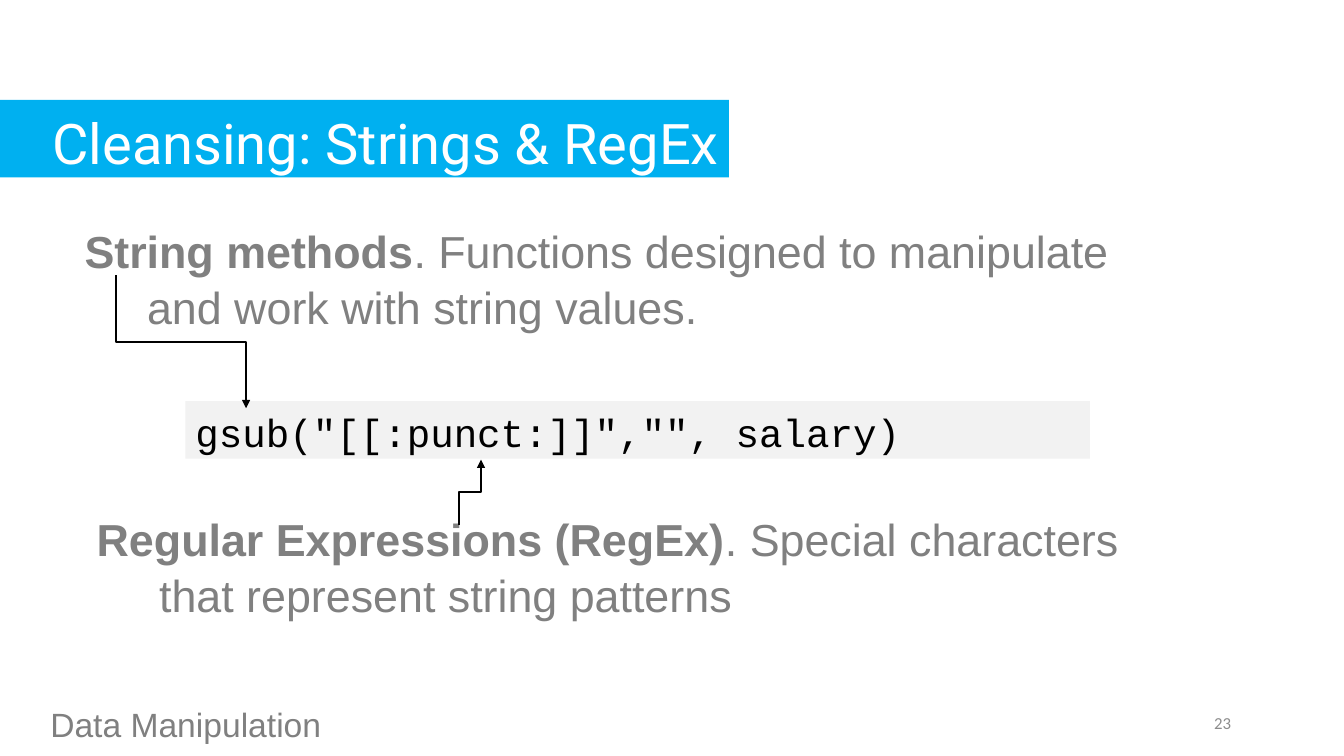
from lxml.etree import SubElement
from pptx import Presentation
from pptx.dml.color import RGBColor
from pptx.enum.shapes import MSO_CONNECTOR, MSO_SHAPE
from pptx.enum.text import MSO_ANCHOR, MSO_AUTO_SIZE, PP_ALIGN
from pptx.oxml.ns import qn
from pptx.util import Inches, Pt

COLORS = {"bar": "00B0F0", "white": "FFFFFF", "text": "808080",
          "number": "8C8C8C", "code_bg": "F2F2F2", "black": "000000"}


def rgb(name):
    return RGBColor.from_string(COLORS[name])


class Deck:
    formats = {
        "title": {"name": "Roboto", "size": Pt(40), "color": "white"},
        "body": {"name": "Arial", "size": Pt(32), "color": "text"},
        "code": {"name": "Courier New", "size": Pt(28), "color": "black"},
        "footer": {"name": "Arial", "size": Pt(24), "color": "text"},
        "number": {"name": "Calibri", "size": Pt(12), "color": "number"},
    }

    def __init__(self):
        self.prs = Presentation()
        self.prs.slide_width = Inches(13.33)
        self.prs.slide_height = Inches(7.5)
        self.s = self.prs.slides.add_slide(self.prs.slide_layouts[5])

    def fill_text(self, sp, runs, style, align=PP_ALIGN.LEFT, anchor=MSO_ANCHOR.TOP,
                  spacing=1.05, hanging=0):
        tf = sp.text_frame
        frame = {"word_wrap": True, "auto_size": MSO_AUTO_SIZE.NONE, "vertical_anchor": anchor}
        for key, value in frame.items():
            setattr(tf, key, value)
        p = tf.paragraphs[0]
        p.alignment = align
        p.line_spacing = spacing
        if hanging:
            pPr = p._p.get_or_add_pPr()
            pPr.set("marL", str(Inches(hanging)))
            pPr.set("indent", str(-Inches(hanging)))
        for text, bold in runs:
            r = p.add_run()
            r.text = text
            r.font.bold = bold
            for key, value in self.formats[style].items():
                if key == "color":
                    r.font.color.rgb = rgb(value)
                else:
                    setattr(r.font, key, value)

    def title(self, text, box):
        sp = self.s.shapes.title
        for key, value in zip(("left", "top", "width", "height"), box):
            setattr(sp, key, Inches(value))
        sp.fill.solid()
        sp.fill.fore_color.rgb = rgb("bar")
        self.fill_text(sp, [(text, False)], "title", PP_ALIGN.RIGHT)

    def text(self, runs, box, style="body", **layout):
        sp = self.s.shapes.add_textbox(*map(Inches, box))
        self.fill_text(sp, runs, style, **layout)

    def code(self, text, box):
        sp = self.s.shapes.add_shape(MSO_SHAPE.RECTANGLE, *map(Inches, box))
        sp.shadow.inherit = False
        sp.fill.solid()
        sp.fill.fore_color.rgb = rgb("code_bg")
        sp.line.fill.background()
        self.fill_text(sp, [(text, False)], "code")

    def arrow(self, x1, y1, x2, y2):
        down = y2 > y1
        cx, cy = (x1 + x2) / 2, (y1 + y2) / 2
        dx = abs(y2 - y1) / 2
        dy = (x2 - x1) / 2 * (1 if down else -1)
        ends = (cx + dx, cy - dy, cx - dx, cy + dy)
        cxn = self.s.shapes.add_connector(MSO_CONNECTOR.ELBOW, *map(Inches, ends))
        cxn.line.color.rgb = rgb("black")
        cxn.line.width = Pt(1.5)
        spPr = cxn._element.spPr
        spPr.find(qn("a:xfrm")).set("rot", str((270 if down else 90) * 60000))
        SubElement(spPr.find(qn("a:ln")), qn("a:tailEnd"), type="triangle")
        SubElement(spPr, qn("a:effectLst"))


def main():
    deck = Deck()
    deck.title("Cleansing: Strings & RegEx", (0, 0.99, 7.23, 0.77))
    deck.text([("23", False)], (9.31, 6.97, 3, 0.4), "number", align=PP_ALIGN.RIGHT,
              anchor=MSO_ANCHOR.MIDDLE, spacing=1.0)
    deck.text([("Data Manipulation", False)], (0.4, 6.91, 9.79, 0.5), "footer")
    deck.text([("String methods", True),
               (". Functions designed to manipulate and work with string values.", False)],
              (0.74, 2.14, 10.76, 1.18), hanging=0.62)
    deck.text([("Regular Expressions (RegEx)", True),
               (". Special characters that represent string patterns", False)],
              (0.86, 5, 11.15, 1.18), hanging=0.62)
    deck.code('gsub("[[:punct:]]","", salary)', (1.84, 3.98, 8.97, 0.57))
    deck.arrow(1.15, 2.73, 2.44, 4.05)
    deck.arrow(4.55, 5.21, 4.77, 4.56)
    deck.prs.save("out.pptx")


if __name__ == "__main__":
    main()
